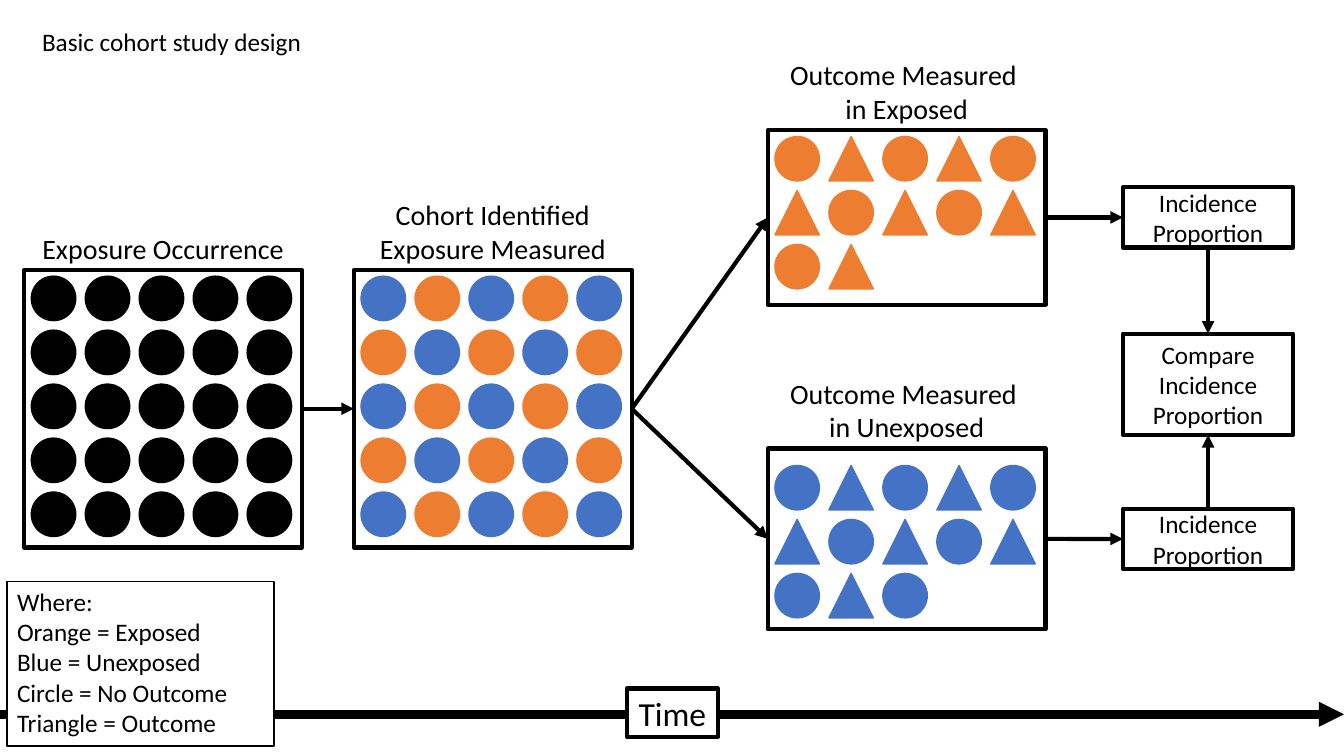
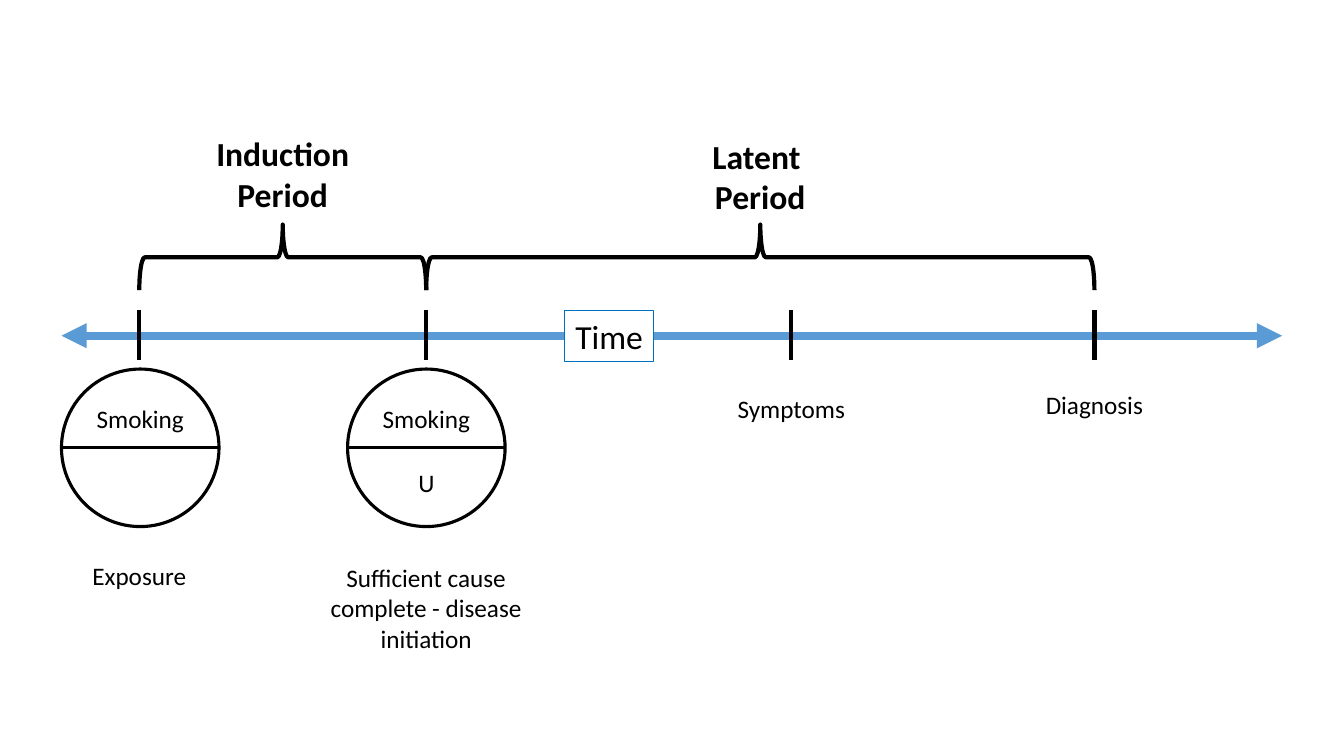
from itertools import cycle, islice

from lxml import etree
from pptx import Presentation
from pptx import util as u
from pptx.dml.color import RGBColor
from pptx.enum import shapes, text
from pptx.oxml.ns import qn

COLORS = {
    "ink": "000000",
    "paper": "FFFFFF",
    "exposed": "ED7D31",
    "unexposed": "4472C4",
    "timeline": "5B9BD5",
    "tag": "0070C0",
}
FONT = "Calibri"
SLIDE_WIDTH, SLIDE_HEIGHT = 33.87, 19.05
CIRCLE, TRIANGLE = shapes.MSO_SHAPE.OVAL, shapes.MSO_SHAPE.ISOSCELES_TRIANGLE
RECTANGLE = shapes.MSO_SHAPE.RECTANGLE
CENTER, LEFT = text.PP_ALIGN.CENTER, text.PP_ALIGN.LEFT
TOP, MIDDLE, BOTTOM = (text.MSO_ANCHOR.TOP, text.MSO_ANCHOR.MIDDLE,
                       text.MSO_ANCHOR.BOTTOM)
TOP_SIDE, LEFT_SIDE, BOTTOM_SIDE, RIGHT_SIDE = range(4)
MARKER_SIZE, MARKER_PITCH, MARKERS_PER_ROW = 1.12, 1.36, 5


def rgb(color):
    return RGBColor.from_string(COLORS[color])


def write(shape, words, size=18, align=CENTER, anchor=TOP, bold=False):
    frame = shape.text_frame
    frame.text = words
    frame.word_wrap = True
    frame.vertical_anchor = anchor
    for paragraph in frame.paragraphs:
        paragraph.alignment = align
        for run in paragraph.runs:
            run.font.name = FONT
            run.font.size = u.Pt(size)
            run.font.bold = bold
            run.font.color.rgb = rgb("ink")


def add_label(slide, box, words, **style):
    label = slide.shapes.add_textbox(*map(u.Cm, box))
    write(label, words, **style)


def add_figure(slide, form, box, fill=None, line="ink", weight=3):
    shape = slide.shapes.add_shape(form, *map(u.Cm, box))
    shape.shadow.inherit = False
    if fill:
        shape.fill.solid()
        shape.fill.fore_color.rgb = rgb(fill)
    else:
        shape.fill.background()
    shape.line.color.rgb = rgb(line)
    shape.line.width = u.Pt(weight)
    return shape


def add_line(slide, start=(0, 0), end=(0, 0), color="ink", weight=3, heads=()):
    """Draw a line; heads names its arrow ends, headEnd before tailEnd."""
    connector = slide.shapes.add_connector(
        shapes.MSO_CONNECTOR.STRAIGHT, *map(u.Cm, (*start, *end)))
    connector.line.color.rgb = rgb(color)
    connector.line.width = u.Pt(weight)
    properties = connector.element.spPr
    for head in heads:
        etree.SubElement(properties.get_or_add_ln(), qn(f"a:{head}"),
                         type="triangle")
    etree.SubElement(properties, qn("a:effectLst"))
    return connector


def add_arrow(slide, source, source_side, target, target_side):
    arrow = add_line(slide, heads=["tailEnd"])
    arrow.begin_connect(source, source_side)
    arrow.end_connect(target, target_side)


def add_time_axis(slide, start, end, y, tag_box, color, heads, tag_color, tag_weight):
    add_line(slide, (start, y), (end, y), color, 6, heads)
    tag = add_figure(slide, RECTANGLE, tag_box, "paper", tag_color, tag_weight)
    write(tag, "Time", size=24, anchor=MIDDLE)


def add_population(slide, box, caption, count, kinds, inset=0.16):
    """Frame a grid of markers that cycle through kinds of (form, color)."""
    left, top, width, _ = box
    caption_height = 2
    add_label(slide, (left, top - caption_height, width, caption_height),
              caption, size=20, anchor=BOTTOM)
    for index, (form, color) in enumerate(islice(cycle(kinds), count)):
        row, column = divmod(index, MARKERS_PER_ROW)
        marker_box = (left + 0.18 + column * MARKER_PITCH,
                      top + inset + row * MARKER_PITCH, MARKER_SIZE, MARKER_SIZE)
        add_figure(slide, form, marker_box, color, color, 1)
    return add_figure(slide, RECTANGLE, box)


def add_result(slide, top, height, words):
    result = add_figure(slide, RECTANGLE, (28.3, top, 4.29, height))
    write(result, words, anchor=MIDDLE)
    return result


def add_legend(slide, box):
    legend = add_figure(slide, RECTANGLE, box, "paper", weight=1)
    write(legend, "Where:\nOrange = Exposed\nBlue = Unexposed\n"
                  "Circle = No Outcome\nTriangle = Outcome", align=LEFT)


def build_cohort_slide(slide):
    add_label(slide, (0.81, 0.53, 8, 1.02), "Basic cohort study design", align=LEFT)
    source = add_population(slide, (0.61, 6.8, 7, 7), "Exposure Occurrence",
                            25, [(CIRCLE, "ink")])
    cohort = add_population(slide, (8.92, 6.8, 7, 7),
                            "Cohort Identified\nExposure Measured", 25,
                            [(CIRCLE, "unexposed"), (CIRCLE, "exposed")])
    exposed = add_population(slide, (19.35, 3.28, 7, 4.4),
                             "Outcome Measured \nin Exposed", 12,
                             [(CIRCLE, "exposed"), (TRIANGLE, "exposed")])
    unexposed = add_population(slide, (19.35, 11.3, 7, 4.56),
                               "Outcome Measured \nin Unexposed", 13,
                               [(CIRCLE, "unexposed"), (TRIANGLE, "unexposed")],
                               inset=0.43)
    comparison = add_result(slide, 8.41, 2.55, "Compare Incidence Proportion")

    add_arrow(slide, source, RIGHT_SIDE, cohort, LEFT_SIDE)
    for outcome, top, exit_side, entry_side in (
            (exposed, 4.72, BOTTOM_SIDE, TOP_SIDE),
            (unexposed, 12.82, TOP_SIDE, BOTTOM_SIDE)):
        incidence = add_result(slide, top, 1.52, "Incidence Proportion")
        add_arrow(slide, cohort, RIGHT_SIDE, outcome, LEFT_SIDE)
        add_arrow(slide, outcome, RIGHT_SIDE, incidence, LEFT_SIDE)
        add_arrow(slide, incidence, exit_side, comparison, entry_side)

    add_time_axis(slide, 0, SLIDE_WIDTH, 18, (15.8, 17.35, 2.29, 1.22),
                  "ink", ["tailEnd"], "ink", 3)
    add_legend(slide, (0.18, 14.65, 6.73, 4.15))


def add_cause_circle(slide, left, top, upper, lower=None):
    """Draw a circle halved by a chord, with a component cause in each half."""
    size = 3.97
    middle = top + size / 2
    add_figure(slide, CIRCLE, (left, top, size, size), weight=2.25)
    add_line(slide, (left, middle), (left + size, middle), weight=2.25)
    for words, offset in ((upper, 0.74), (lower, 2.36)):
        if words:
            add_label(slide, (left, top + offset, size, 1.02), words)


def add_period(slide, start, end, label_top, words):
    """Span start to end with an upward brace below a bold label."""
    top, depth, label_width = 5.66, 1.65, 5.38
    span, center = end - start, (start + end) / 2
    brace = add_figure(slide, shapes.MSO_SHAPE.LEFT_BRACE,
                       (center - depth / 2, top + (depth - span) / 2, depth, span))
    brace.rotation = 90
    add_label(slide, (center - label_width / 2, label_top, label_width, 2.31),
              words, size=24, bold=True)


def add_event(slide, x, axis_y, label_top, words):
    label_width = 5.38
    add_line(slide, (x, axis_y - 0.65), (x, axis_y + 0.6))
    add_label(slide, (x - label_width / 2, label_top, label_width, 1.02), words)


def build_latency_slide(slide):
    axis_y = 8.46
    exposure, initiation, symptoms, diagnosis = 3.51, 10.74, 19.94, 27.58
    add_time_axis(slide, 1.55, 32.31, axis_y, (14.22, 7.82, 2.26, 1.28),
                  "timeline", ["headEnd", "tailEnd"], "tag", 0.75)
    for x, label_top, words in (
            (exposure, 14, "Exposure"),
            (initiation, 14.05, "Sufficient cause complete - disease initiation"),
            (symptoms, 9.78, "Symptoms"),
            (diagnosis, 9.68, "Diagnosis")):
        add_event(slide, x, axis_y, label_top, words)
    add_cause_circle(slide, 1.55, 9.3, "Smoking")
    add_cause_circle(slide, 8.76, 9.3, "Smoking", "U")
    add_period(slide, exposure, initiation, 3.23, "Induction Period")
    add_period(slide, initiation, diagnosis, 3.3, "Latent \nPeriod")


def main():
    presentation = Presentation()
    presentation.slide_width = u.Cm(SLIDE_WIDTH)
    presentation.slide_height = u.Cm(SLIDE_HEIGHT)
    blank = presentation.slide_layouts[6]
    for build in (build_cohort_slide, build_latency_slide):
        build(presentation.slides.add_slide(blank))
    presentation.save("out.pptx")


if __name__ == "__main__":
    main()
